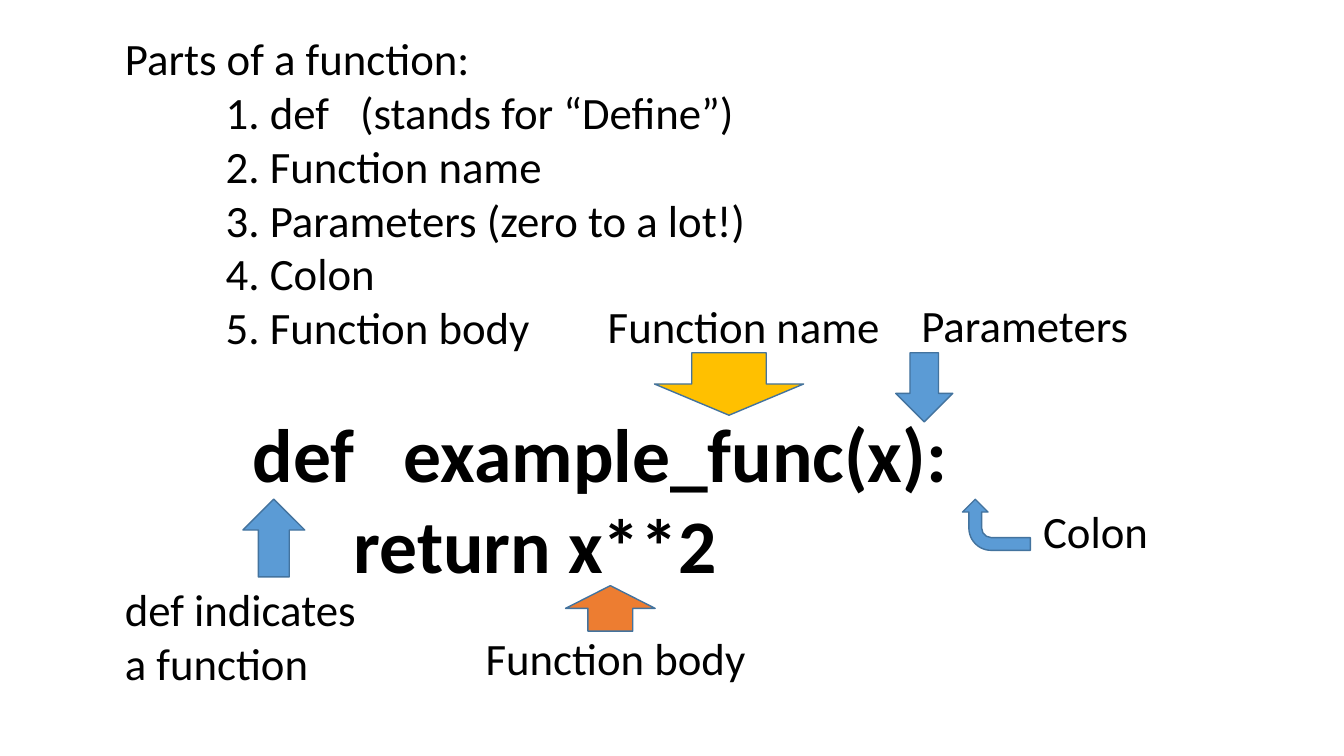
from dataclasses import dataclass

from lxml.etree import SubElement
from pptx import Presentation
from pptx.dml.color import RGBColor
from pptx.enum.shapes import MSO_SHAPE
from pptx.enum.text import MSO_ANCHOR, MSO_AUTO_SIZE, PP_ALIGN
from pptx.oxml.ns import qn
from pptx.util import Pt


@dataclass(frozen=True)
class Theme:
    font: str = "Calibri"
    text: int = 32
    code: int = 54
    ink: str = "000000"
    blue: str = "5B9BD5"
    orange: str = "ED7D31"
    gold: str = "FFC000"
    edge: str = "43739E"


THEME = Theme()


def place(shape, box):
    shape.left, shape.top, shape.width, shape.height = map(Pt, box)


def write(shape, lines, size=THEME.text, bold=False):
    """Fill a shape with left-aligned lines and return the paragraphs."""
    frame = shape.text_frame
    frame.text = "\n".join(lines)
    frame.word_wrap = True
    frame.auto_size = MSO_AUTO_SIZE.NONE
    frame.vertical_anchor = MSO_ANCHOR.TOP
    for para in frame.paragraphs:
        para.alignment = PP_ALIGN.LEFT
        para.space_before = Pt(0)
        para.font.name = THEME.font
        para.font.size = Pt(size)
        para.font.bold = bold
        para.font.color.rgb = RGBColor.from_string(THEME.ink)
    return frame.paragraphs


def indent(para, left, first=0):
    props = para._p.get_or_add_pPr()
    props.set("marL", str(Pt(left)))
    props.set("indent", str(Pt(first)))
    return props


def add_tab(props, stop):
    """Add a left tab stop ahead of the default run properties."""
    tabs = props.makeelement(qn("a:tabLst"), {})
    SubElement(tabs, qn("a:tab"), pos=str(Pt(stop)), algn="l")
    props.find(qn("a:defRPr")).addprevious(tabs)


def add_list(slide, box):
    """Place the heading with its numbered list below."""
    left, top, width, height = box
    head = 39
    title, body = slide.shapes.title, slide.placeholders[1]
    place(title, (left, top, width, head + 7))
    write(title, ["Parts of a function:"])
    place(body, (left + 72, top + head, width - 72, height - head))
    parts = ["def\t(stands for “Define”)", "Function name",
             "Parameters (zero to a lot!)", "Colon", "Function body"]
    paras = write(body, parts)
    for para in paras:
        props = indent(para, 31.5, -31.5)
        number = props.makeelement(qn("a:buAutoNum"), {"type": "arabicPeriod"})
        props.find(qn("a:defRPr")).addprevious(number)
    add_tab(paras[0]._p.pPr, 96)


def add_text(slide, box, lines, **style):
    shape = slide.shapes.add_textbox(*map(Pt, box))
    return write(shape, lines, **style)


def add_code(slide, box):
    first, last = add_text(
        slide, box, ["def\texample_func(x):", "return x**2"],
        size=THEME.code, bold=True)
    add_tab(indent(first, 0), 133.5)
    indent(last, 72)


def add_arrow(slide, kind, box, fill, turn=0):
    arrow = slide.shapes.add_shape(kind, *map(Pt, box))
    arrow.rotation = turn
    arrow.shadow.inherit = False
    arrow.fill.solid()
    arrow.fill.fore_color.rgb = RGBColor.from_string(fill)
    arrow.line.color.rgb = RGBColor.from_string(THEME.edge)
    arrow.line.width = Pt(1)


def add_notes(slide, box):
    """Place the labels and arrows around the code."""
    left, top = box[:2]
    labels = [
        (253.5, -77.8, 222, 46, ["Function name"]),
        (477.5, -78.3, 222, 46, ["Parameters"]),
        (564.5, 69.2, 181, 46, ["Colon"]),
        (166.3, 160, 222, 46, ["Function body"]),
        (-91.4, 124.6, 222, 85, ["def indicates", "a function"]),
    ]
    up, down = MSO_SHAPE.UP_ARROW, MSO_SHAPE.DOWN_ARROW
    arrows = [
        (up, 0, 69.2, 44.2, 55.6, THEME.blue, 0),
        (up, 230.5, 131, 64, 32.5, THEME.orange, 0),
        (down, 294, -35.3, 106.5, 44.6, THEME.gold, 0),
        (down, 466.3, -35.3, 40.8, 49.4, THEME.blue, 0),
        (MSO_SHAPE.BENT_ARROW, 520, 63.3, 36.5, 48.5, THEME.blue, 270),
    ]
    for x, y, width, height, lines in labels:
        add_text(slide, (left + x, top + y, width, height), lines)
    for kind, x, y, width, height, fill, turn in arrows:
        add_arrow(slide, kind, (left + x, top + y, width, height), fill, turn)


def main():
    deck = Presentation()
    deck.slide_width, deck.slide_height = Pt(960), Pt(540)
    slide = deck.slides.add_slide(deck.slide_layouts[1])
    code = (173.5, 287.3, 654, 138)
    add_list(slide, (82, 18, 708, 284))
    add_code(slide, code)
    add_notes(slide, code)
    deck.save("out.pptx")


if __name__ == "__main__":
    main()
